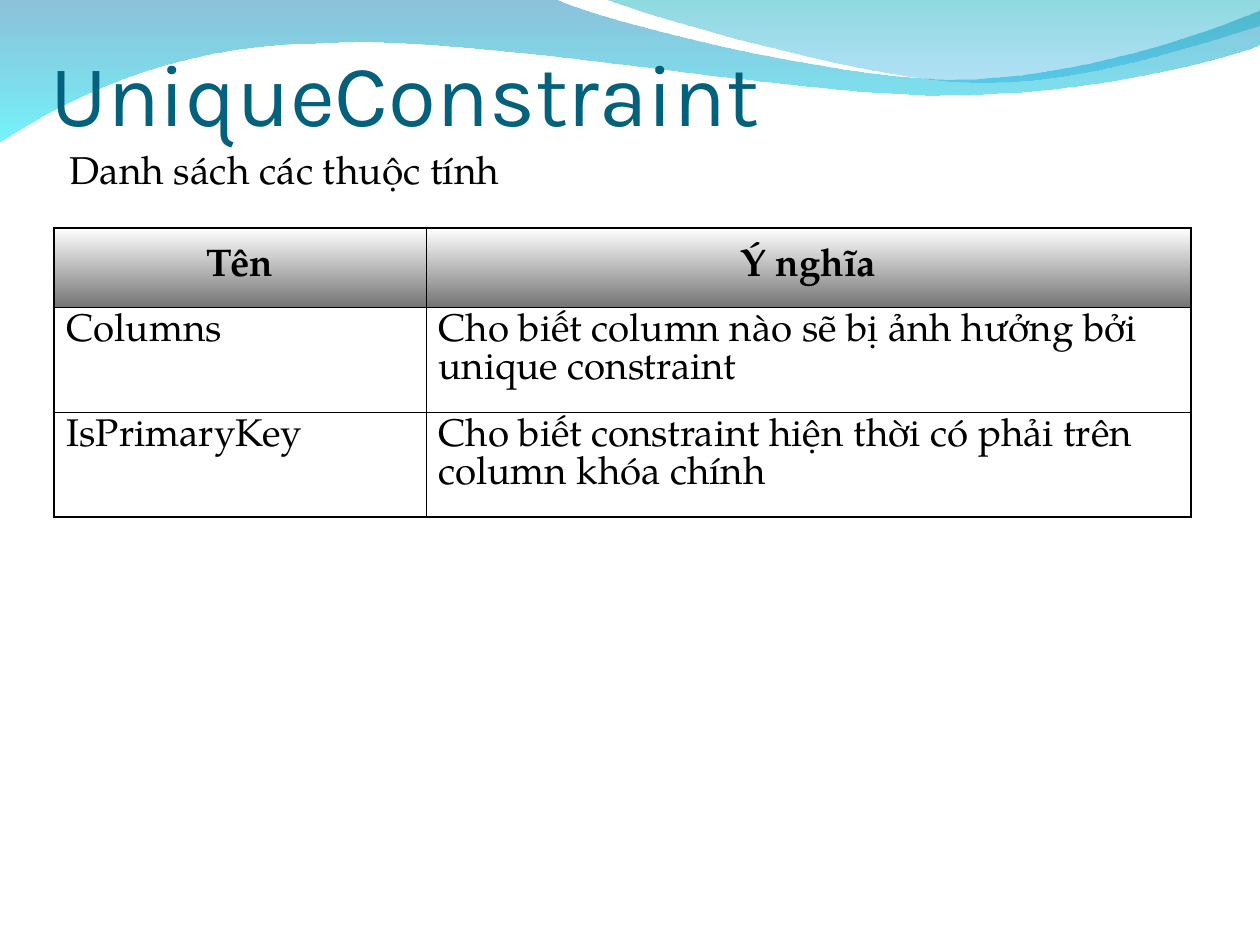
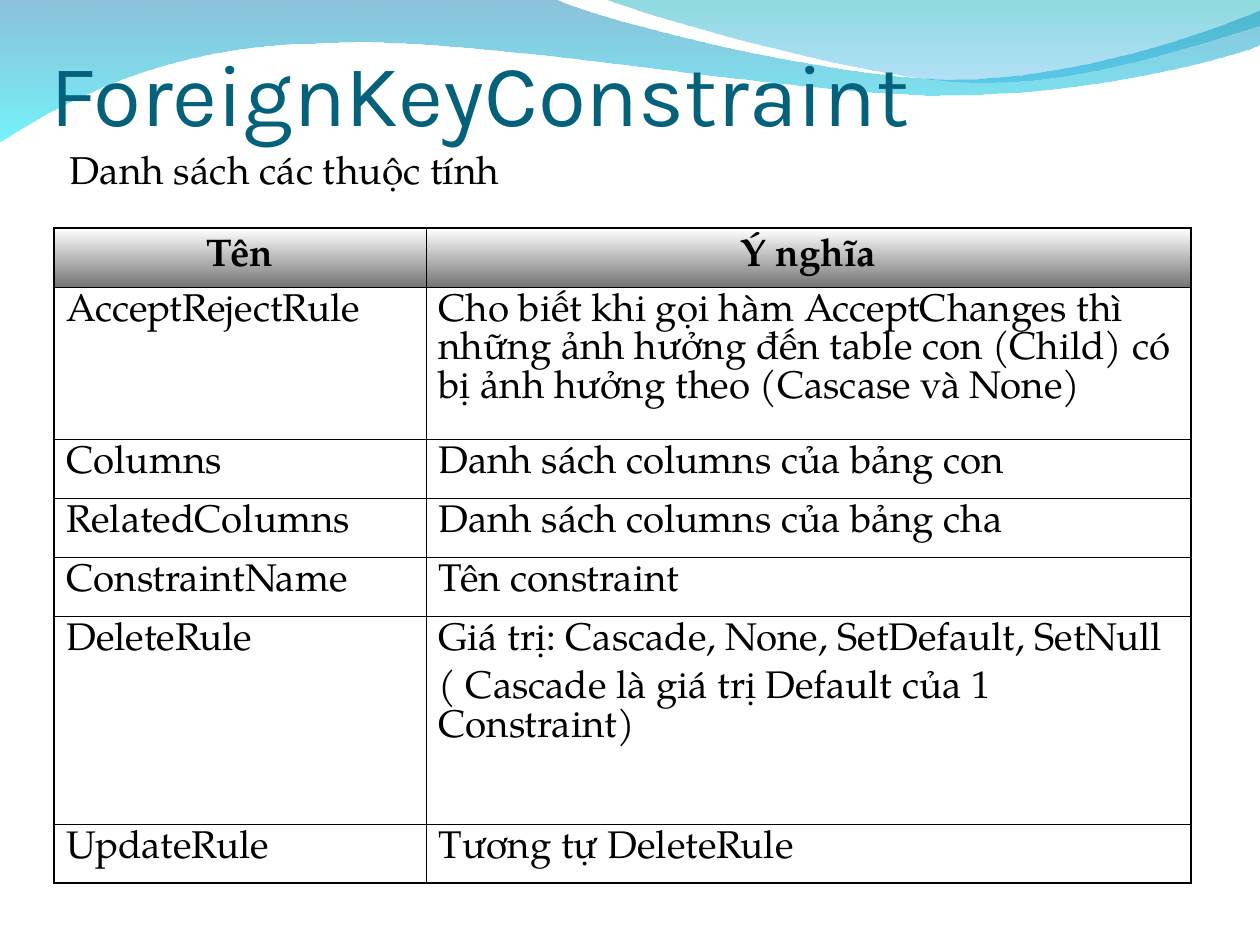
from lxml.etree import SubElement
from pptx import Presentation
from pptx.dml.color import RGBColor
from pptx.enum.text import MSO_ANCHOR as Anchor, MSO_AUTO_SIZE as AutoSize, PP_ALIGN as Align
from pptx.oxml.ns import qn
from pptx.util import Emu, Pt

PX = 914400 / 126
SLIDE_SIZE = 1260, 945
INK, TITLE_BLUE = "000000", "04617B"
SERIF = "TeX Gyre Pagella"

SUBTITLE = "Danh sách các thuộc tính"
HEADER = ("Tên", "Ý nghĩa")
SLIDES = [
    {"title": "UniqueConstraint",
     "row_heights": [79, 105, 105],
     "properties": [
         ("Columns", "Cho biết column nào sẽ bị ảnh hưởng bởi unique constraint"),
         ("IsPrimaryKey", "Cho biết constraint hiện thời có phải trên column khóa chính"),
     ]},
    {"title": "ForeignKeyConstraint",
     "row_heights": [59, 152, 59, 59, 59, 208, 59],
     "properties": [
         ("AcceptRejectRule", "Cho biết khi gọi hàm AcceptChanges thì những ảnh hưởng đến "
                              "table con (Child) có bị ảnh hưởng theo (Cascase và None)"),
         ("Columns", "Danh sách columns của bảng con"),
         ("RelatedColumns", "Danh sách columns của bảng cha"),
         ("ConstraintName", "Tên constraint"),
         ("DeleteRule", "Giá trị: Cascade, None, SetDefault, SetNull\n"
                        "( Cascade là giá trị Default của 1 Constraint)"),
         ("UpdateRule", "Tương tự DeleteRule"),
     ]},
]

# A segment of one point is a line, a segment of three points is a Bézier curve.
WAVES = [
    {"start": (0, -1),
     "segments": [
         [(555, -1)],
         [(600, 21), (837, 79), (955, 79)],
         [(1075, 79), (1207, 33), (1260, 11)],
         [(1261, 45)],
         [(1238, 55), (1096, 96), (940, 95)],
         [(784, 95), (481, 35), (324, 43)],
         [(163, 44), (58, 105), (-1, 142)],
         [(0, -1)],
     ],
     "colours": [("0079AF", 45), ("00EBF8", 55)]},
    {"start": (604, -1),
     "segments": [
         [(641, 14), (859, 78), (969, 82)],
         [(1079, 87), (1211, 40), (1260, 26)],
         [(1260, 0)],
         [(604, -1)],
     ],
     "colours": [("00ADB6", 45), ("009BE5", 30)]},
]
HEADER_COLOURS = [("FFFFFF", 100), ("757575", 100)]

TITLE_BOX = 50, -14, 1134, 158
SUBTITLE_BOX = 57, 148, 557, 53
TABLE_LEFT, TABLE_TOP = 54, 228
COLUMN_WIDTHS = [372, 765]
OUTER_LINE, INNER_LINE = Pt(1.08), Pt(0.45)

TITLE_FONT = {"name": "Karla", "size": Pt(50), "bold": False}
SUBTITLE_FONT = {"name": SERIF, "size": Pt(22.2), "bold": False}
HEADER_FONT = {"name": SERIF, "size": Pt(22), "bold": True}
CELL_FONT = {**HEADER_FONT, "bold": False}
TITLE_FRAME = {"auto_size": AutoSize.NONE, "word_wrap": True, "vertical_anchor": Anchor.BOTTOM,
               "margin_left": 0, "margin_top": Emu(45720), "margin_right": 0, "margin_bottom": 0}
SUBTITLE_FRAME = {"auto_size": AutoSize.NONE, "word_wrap": True, "vertical_anchor": Anchor.TOP}
TITLE_PARAGRAPH = {"alignment": Align.LEFT}
SUBTITLE_PARAGRAPH = {"alignment": Align.LEFT, "line_spacing": 0.8, "space_before": Pt(6)}
HEADER_PARAGRAPH = {"alignment": Align.CENTER, "space_before": Pt(5.5)}
CELL_PARAGRAPH = {"alignment": Align.LEFT, "space_before": Pt(5.5)}


def px(length):
    return Emu(round(length * PX))


def rgb(colour):
    return RGBColor.from_string(colour)


def apply(target, values):
    for name, value in values.items():
        setattr(target, name, value)


def write(frame, text, paragraph_format, font_format, colour=INK):
    frame.text = text
    for paragraph in frame.paragraphs:
        apply(paragraph, paragraph_format)
        for run in paragraph.runs:
            apply(run.font, font_format)
            run.font.color.rgb = rgb(colour)


def fill_downwards(fill, colours):
    """Fill with a top-to-bottom gradient of (colour, opacity percent) pairs."""
    fill.gradient()
    fill.gradient_angle = 270
    stops = fill._fill._gradFill.findall(".//" + qn("a:gs"))
    for stop, stop_xml, (colour, opacity) in zip(fill.gradient_stops, stops, colours):
        stop.color.rgb = rgb(colour)
        if opacity < 100:
            SubElement(stop_xml[0], qn("a:alpha"), val=str(opacity * 1000))


def bend(shape, segments):
    """Join the three lines drawn for each curve segment into one Bézier curve."""
    lines = iter(shape._element.findall(".//" + qn("a:lnTo")))
    for segment in segments:
        first, *others = [next(lines) for _ in segment]
        if others:
            curve = SubElement(first.getparent(), qn("a:cubicBezTo"))
            first.addprevious(curve)
            for line in (first, *others):
                curve.append(line[0])
                line.getparent().remove(line)


def add_waves(master, slide):
    """Draw the waves on the slide, then move them to the back of its master."""
    for depth, wave in enumerate(WAVES):
        builder = slide.shapes.build_freeform(*wave["start"], scale=PX)
        builder.add_line_segments(sum(wave["segments"], []), close=True)
        shape = builder.convert_to_shape()
        bend(shape, wave["segments"])
        shape.shadow.inherit = False
        shape.line.fill.background()
        fill_downwards(shape.fill, wave["colours"])
        master.shapes._spTree.insert(2 + depth, shape._element)


def place(shape, box):
    apply(shape, dict(zip(("left", "top", "width", "height"), map(px, box))))


def add_headings(slide, title):
    heading, subtitle = slide.placeholders
    place(heading, TITLE_BOX)
    apply(heading.text_frame, TITLE_FRAME)
    write(heading.text_frame, title, TITLE_PARAGRAPH, TITLE_FONT, TITLE_BLUE)

    place(subtitle, SUBTITLE_BOX)
    apply(subtitle.text_frame, SUBTITLE_FRAME)
    write(subtitle.text_frame, SUBTITLE, SUBTITLE_PARAGRAPH, SUBTITLE_FONT)
    properties = subtitle.text_frame.paragraphs[0]._p.get_or_add_pPr()
    properties.set("marL", str(px(38)))
    properties.set("indent", str(px(-38)))
    SubElement(properties, qn("a:buNone"))


def set_borders(cell, outer_sides):
    cell_properties = cell._tc.get_or_add_tcPr()
    for position, side in enumerate("LRTB"):
        width = OUTER_LINE if side in outer_sides else INNER_LINE
        line = SubElement(cell_properties, qn("a:ln" + side), w=str(width))
        SubElement(SubElement(line, qn("a:solidFill")), qn("a:srgbClr"), val=INK)
        cell_properties.insert(position, line)


def add_property_table(slide, properties, row_heights):
    rows = [HEADER, *properties]
    table = slide.shapes.add_table(
        len(rows), len(HEADER), px(TABLE_LEFT), px(TABLE_TOP),
        px(sum(COLUMN_WIDTHS)), px(sum(row_heights))).table
    apply(table, {"first_row": False, "horz_banding": False})
    for column, width in zip(table.columns, COLUMN_WIDTHS):
        column.width = px(width)
    for r, (row, height) in enumerate(zip(rows, row_heights)):
        table.rows[r].height = px(height)
        for c, text in enumerate(row):
            cell = table.cell(r, c)
            if r == 0:
                cell.vertical_anchor = Anchor.MIDDLE
                fill_downwards(cell.fill, HEADER_COLOURS)
                write(cell.text_frame, text, HEADER_PARAGRAPH, HEADER_FONT)
            else:
                cell.fill.background()
                write(cell.text_frame, text, CELL_PARAGRAPH, CELL_FONT)
            on_edge = {"L": c == 0, "R": c == len(row) - 1, "T": r == 0, "B": r == len(rows) - 1}
            set_borders(cell, [side for side, outer in on_edge.items() if outer])


def main():
    deck = Presentation()
    deck.slide_width, deck.slide_height = map(px, SLIDE_SIZE)
    layout = deck.slide_layouts[1]
    for content in SLIDES:
        slide = deck.slides.add_slide(layout)
        add_headings(slide, content["title"])
        add_property_table(slide, content["properties"], content["row_heights"])
    add_waves(deck.slide_master, deck.slides[0])
    deck.save("out.pptx")


if __name__ == "__main__":
    main()
